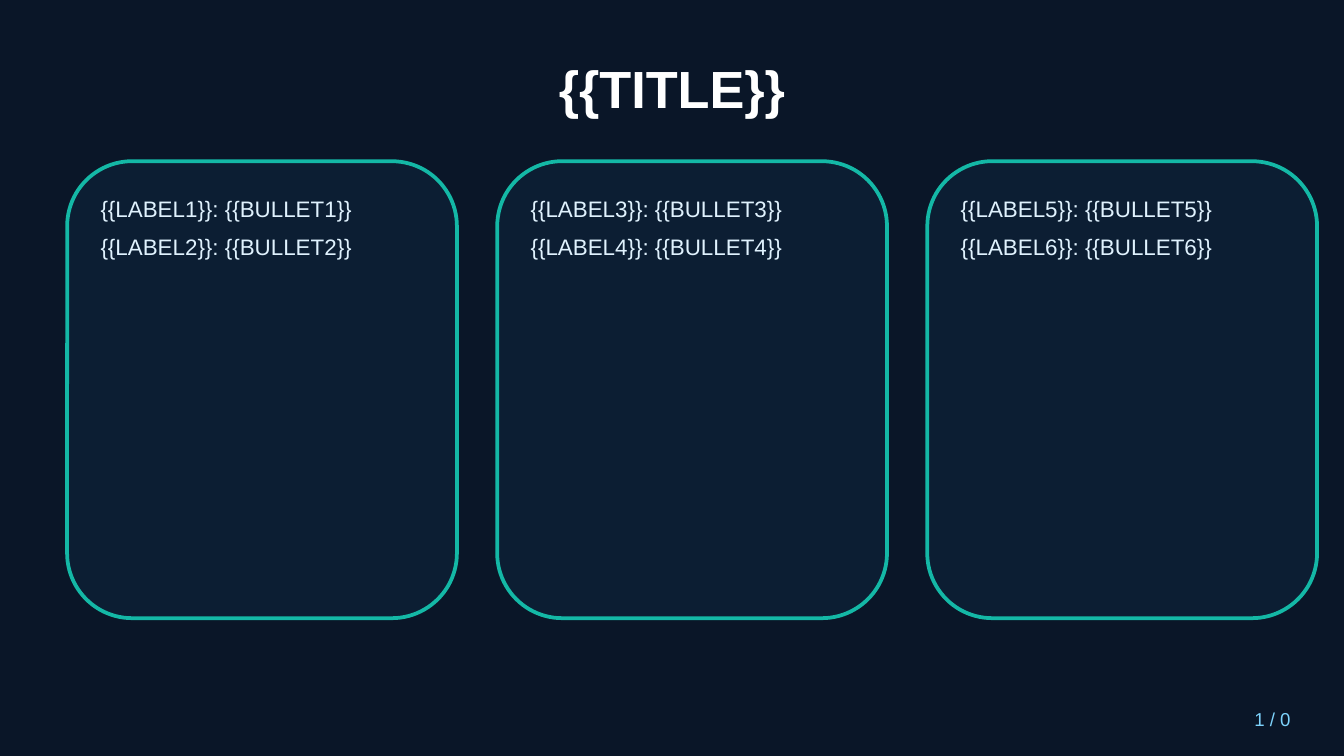
"""Build a dark three-card template slide with a title and page number."""
import pptx
import pptx.util
import pptx.dml.color
import pptx.enum.shapes
import pptx.enum.text
import pptx.oxml
import pptx.oxml.ns
from lxml import etree

TITLE = "{{TITLE}}"
CARDS = [
    ["{{LABEL1}}: {{BULLET1}}", "{{LABEL2}}: {{BULLET2}}"],
    ["{{LABEL3}}: {{BULLET3}}", "{{LABEL4}}: {{BULLET4}}"],
    ["{{LABEL5}}: {{BULLET5}}", "{{LABEL6}}: {{BULLET6}}"],
]
PAGE = "1 / 0"

COLORS = {
    "background": "0A1628",
    "card": "0D1F35",
    "border": "14B8A6",
    "title": "FFFFFF",
    "body": "E0F2FE",
    "page": "7DD3FC",
}
PX = 4572
SLIDE_W, SLIDE_H = 2000, 1125
CARD_X, CARD_Y, CARD_W, CARD_H = 100, 240, 580, 680
GAP, PAD_X, PAD_Y = 60, 30, 40

ALIGN = pptx.enum.text.PP_ALIGN
ANCHOR = pptx.enum.text.MSO_ANCHOR


def rgb(name):
    return pptx.dml.color.RGBColor.from_string(COLORS[name])


def emu(*lengths):
    return [n * PX for n in lengths]


def add_text(s, box, lines, size, color, align=ALIGN.LEFT,
             anchor=ANCHOR.TOP, bold=False, after=0):
    tf = s.shapes.add_textbox(*emu(*box)).text_frame
    tf.word_wrap = True
    tf.vertical_anchor = anchor
    tf.text = "\n".join(lines)
    for p in tf.paragraphs:
        p.alignment = align
        p.space_after = pptx.util.Pt(after)
        p.font.name = "Arial"
        p.font.size = pptx.util.Pt(size)
        p.font.bold = bold
        p.font.color.rgb = rgb(color)


def add_card(s, box):
    kind = pptx.enum.shapes.MSO_SHAPE.ROUNDED_RECTANGLE
    sp = s.shapes.add_shape(kind, *emu(*box))
    sp.shadow.inherit = False
    sp.fill.solid()
    sp.fill.fore_color.rgb = rgb("card")
    fill = sp.fill._xPr.find(pptx.oxml.ns.qn("a:solidFill"))
    etree.SubElement(fill[0], pptx.oxml.ns.qn("a:alpha"), val="90000")
    sp.line.color.rgb = rgb("border")
    sp.line.width = pptx.util.Pt(2)


def main():
    prs = pptx.Presentation()
    prs.slide_width, prs.slide_height = emu(SLIDE_W, SLIDE_H)
    s = prs.slides.add_slide(prs.slide_layouts[6])
    s.background.fill.solid()
    s.background.fill.fore_color.rgb = rgb("background")

    add_text(s, (100, 60, 1800, 140), [TITLE], 28, "title",
             ALIGN.CENTER, ANCHOR.MIDDLE, bold=True)
    for i, lines in enumerate(CARDS):
        x = CARD_X + i * (CARD_W + GAP)
        add_card(s, (x, CARD_Y, CARD_W, CARD_H))
        inner = (x + PAD_X, CARD_Y + PAD_Y,
                 CARD_W - 2 * PAD_X, CARD_H - 2 * PAD_Y)
        add_text(s, inner, lines, 12, "body", after=6)
    add_text(s, (1700, 1040, 240, 60), [PAGE], 10, "page",
             ALIGN.RIGHT, ANCHOR.MIDDLE)
    prs.save("out.pptx")


if __name__ == "__main__":
    main()
